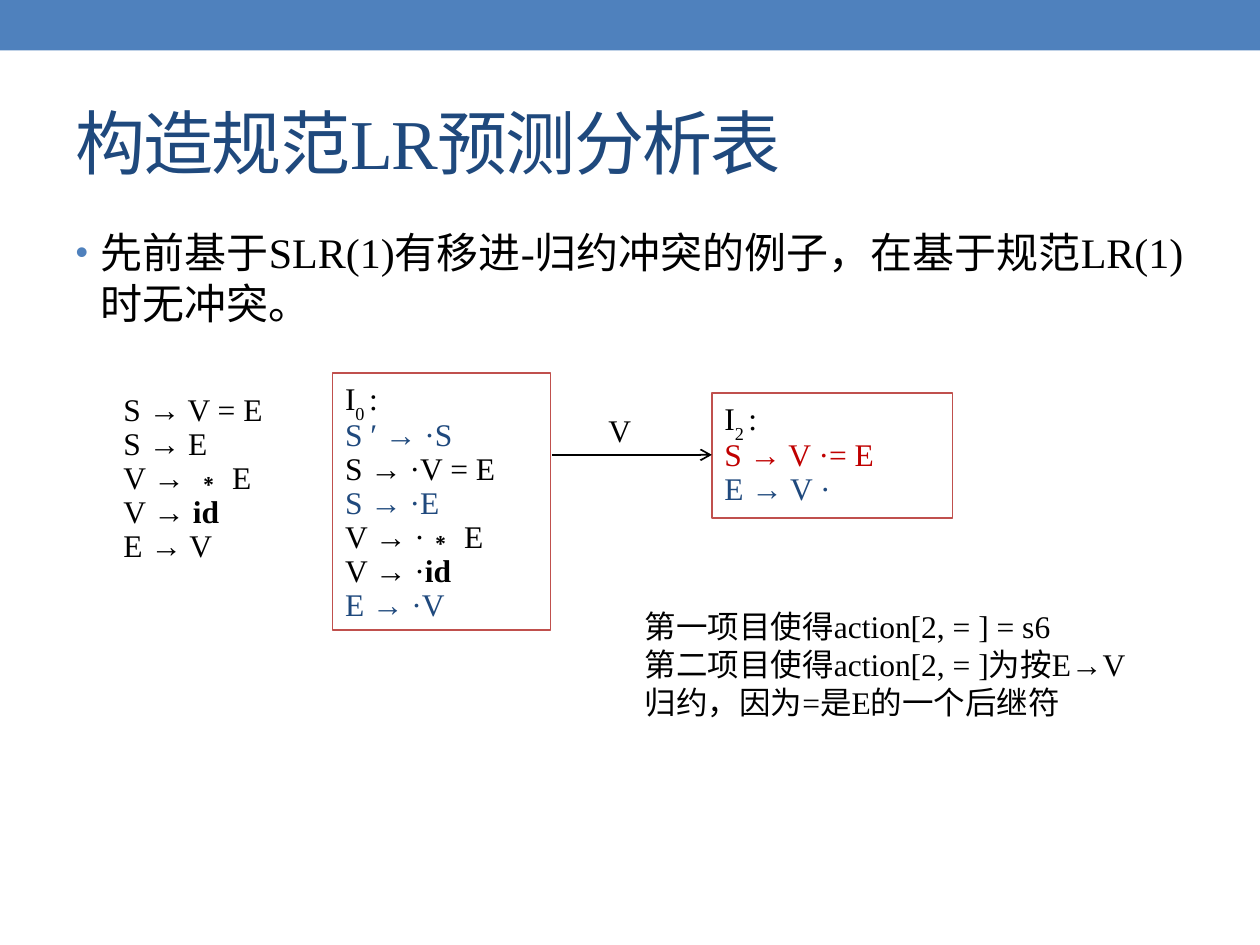
from dataclasses import dataclass

import pptx
import pptx.dml.color
import pptx.enum.shapes
import pptx.enum.text
import pptx.oxml
import pptx.oxml.ns
import pptx.util
from pptx.util import Inches


@dataclass(frozen=True)
class Theme:
    font: str = "Times New Roman"
    bar: str = "4F81BD"
    navy: str = "1F497D"
    border: str = "C0504D"
    red: str = "C00000"
    black: str = "000000"
    title: int = 40
    body: int = 24
    small: int = 18


THEME = Theme()
ID = ("id", {"bold": True})
GRAMMAR = [["S → V = E"], ["S → E"], ["V → ∗ E"], ["V → ", ID], ["E → V"]]
STATE_0 = [
    (["S ′ → ·S"], THEME.navy),
    (["S → ·V = E"], THEME.black),
    (["S → ·E"], THEME.navy),
    (["V → ·∗ E"], THEME.black),
    (["V → ·", ID], THEME.black),
    (["E → ·V"], THEME.navy),
]
STATE_2 = [(["S → V ·= E"], THEME.red), (["E → V ·"], THEME.navy)]


def rgb(value):
    return pptx.dml.color.RGBColor.from_string(value)


def add_xml(parent, tag, **attrs):
    el = pptx.oxml.parse_xml(f"<a:{tag} {pptx.oxml.ns.nsdecls('a')}/>")
    for name, value in attrs.items():
        el.set(name, value)
    parent.append(el)
    return el


def place(sp, left, top, width, height):
    box = {"left": left, "top": top, "width": width, "height": height}
    for name, value in box.items():
        setattr(sp, name, Inches(value))


def write(p, parts, size=THEME.small, color=THEME.black, **para):
    """Fill a paragraph with strings or (string, font values) pairs."""
    para = {"alignment": pptx.enum.text.PP_ALIGN.LEFT,
            "space_before": pptx.util.Pt(0), **para}
    for name, value in para.items():
        setattr(p, name, value)
    for part in parts:
        text, extra = (part, {}) if isinstance(part, str) else part
        r = p.add_run()
        r.text = text
        fmt = {"name": THEME.font, "size": pptx.util.Pt(size), **extra}
        baseline = fmt.pop("baseline", None)
        for name, value in fmt.items():
            setattr(r.font, name, value)
        r.font.color.rgb = rgb(color)
        if baseline:
            r.font._element.set("baseline", baseline)


def set_indent(p, left, hanging):
    pPr = p._p.get_or_add_pPr()
    pPr.set("marL", str(Inches(left)))
    pPr.set("indent", str(-Inches(hanging)))
    return pPr


def add_rect(s, box, fill=None, line=None):
    sp = s.shapes.add_shape(pptx.enum.shapes.MSO_SHAPE.RECTANGLE,
                            *map(Inches, box))
    sp.shadow.inherit = False
    if fill:
        sp.fill.solid()
        sp.fill.fore_color.rgb = rgb(fill)
    else:
        sp.fill.background()
    if line:
        sp.line.color.rgb = rgb(line)
        sp.line.width = pptx.util.Pt(1)
    else:
        sp.line.fill.background()
    return sp


def add_state(s, box, index, items):
    """Draw a boxed item set headed by its numbered name."""
    tf = add_rect(s, box, line=THEME.border).text_frame
    tf.word_wrap = True
    tf.vertical_anchor = pptx.enum.text.MSO_ANCHOR.TOP
    heading = ["I", (f"{index} ", {"baseline": "-30000"}), ":"]
    write(tf.paragraphs[0], heading, line_spacing=0.9)
    for parts, color in items:
        write(tf.add_paragraph(), parts, color=color, line_spacing=0.9)


def add_text(s, box, lines):
    tf = s.shapes.add_textbox(*map(Inches, box)).text_frame
    tf.word_wrap = True
    for i, line in enumerate(lines):
        write(tf.add_paragraph() if i else tf.paragraphs[0], [line])


def add_arrow(s, x1, x2, y):
    cxn = s.shapes.add_connector(pptx.enum.shapes.MSO_CONNECTOR.STRAIGHT,
                                 *map(Inches, (x1, y, x2, y)))
    cxn.line.color.rgb = rgb(THEME.black)
    cxn.line.width = pptx.util.Pt(1)
    add_xml(cxn.line._get_or_add_ln(), "tailEnd", type="arrow")
    add_xml(cxn._element.spPr, "effectLst")


def fill_title(sp, text):
    place(sp, 0.5, 0.58, 9, 1.08)
    tf = sp.text_frame
    tf.vertical_anchor = pptx.enum.text.MSO_ANCHOR.MIDDLE
    write(tf.paragraphs[0], [text], THEME.title, THEME.navy)
    for r in tf.paragraphs[0].runs:
        r.font._element.set("spc", "-100")


def fill_body(sp, text):
    place(sp, 0.5, 1.75, 9, 5.33)
    tf = sp.text_frame
    p = tf.paragraphs[0]
    pPr = set_indent(p, 0.2, 0.2)
    add_xml(add_xml(pPr, "buClr"), "srgbClr", val=THEME.bar)
    add_xml(pPr, "buSzPct", val="85000")
    add_xml(pPr, "buFont", typeface="Arial")
    add_xml(pPr, "buChar", char="•")
    write(p, [text], THEME.body)
    for i, parts in enumerate(GRAMMAR):
        p = tf.add_paragraph()
        add_xml(set_indent(p, 0.38, 0), "buNone")
        write(p, parts, line_spacing=0.9,
              space_before=pptx.util.Pt(0 if i else 38))


def main():
    prs = pptx.Presentation()
    prs.slide_width, prs.slide_height = Inches(10), Inches(7.5)
    s = prs.slides.add_slide(prs.slide_layouts[1])
    title, body = s.placeholders
    add_rect(s, (0, 0, 10, 0.4), fill=THEME.bar)
    fill_title(title, "构造规范LR预测分析表")
    fill_body(body, "先前基于SLR(1)有移进-归约冲突的例子，在基于规范LR(1)时无冲突。")
    add_text(s, (5.02, 4.77, 4.17, 1.01), [
        "第一项目使得action[2, = ] = s6",
        "第二项目使得action[2, = ]为按E→V归约，因为=是E的一个后继符",
    ])
    add_state(s, (2.64, 2.96, 1.73, 2.04), 0, STATE_0)
    add_state(s, (5.65, 3.12, 1.91, 0.99), 2, STATE_2)
    add_arrow(s, 4.38, 5.65, 3.61)
    add_text(s, (4.73, 3.21, 0.54, 0.4), ["V"])
    prs.save("out.pptx")


if __name__ == "__main__":
    main()
